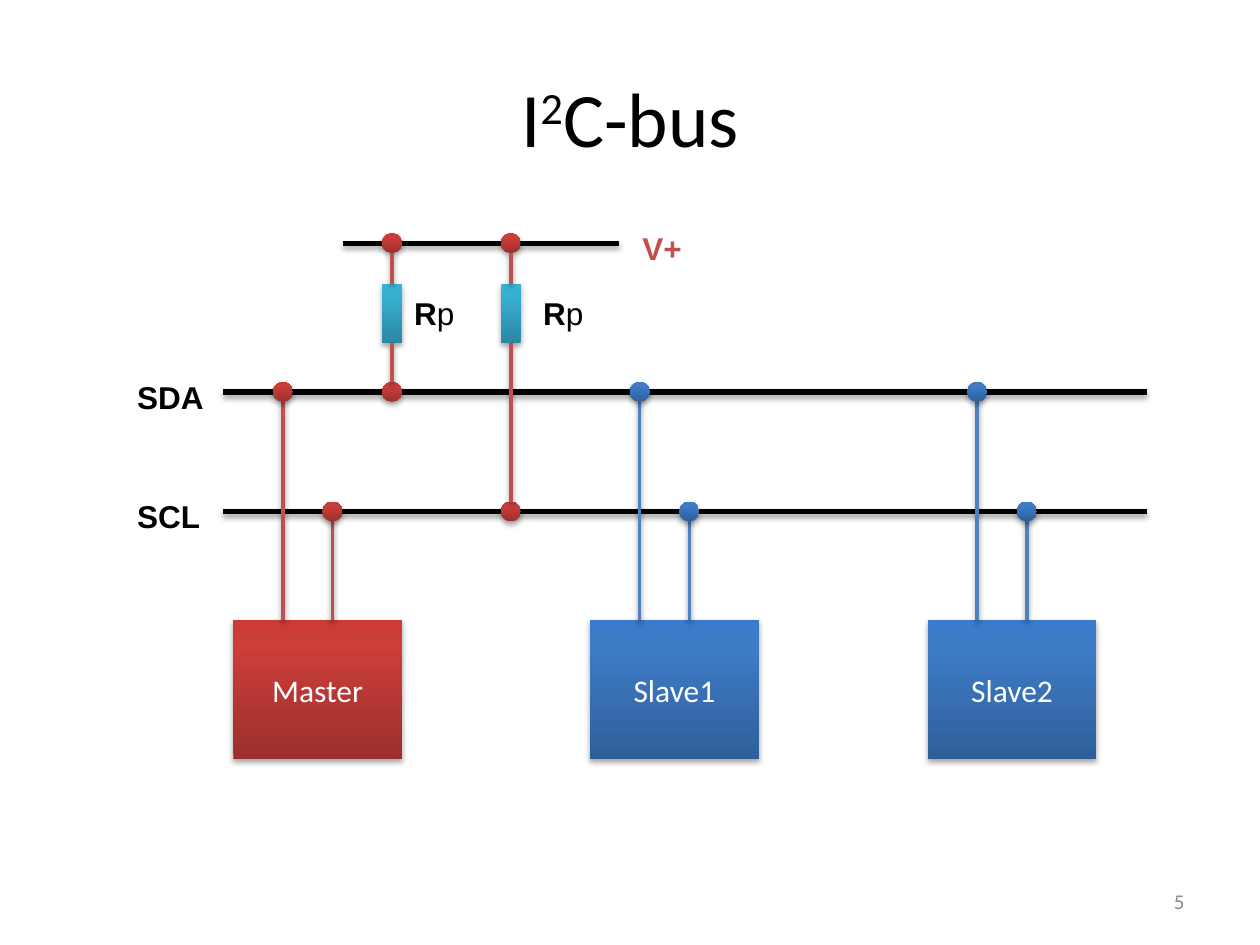
"""Build the I²C-bus wiring slide."""
from lxml.etree import SubElement
from pptx import Presentation
from pptx.dml.color import RGBColor
from pptx.enum.shapes import MSO_CONNECTOR, MSO_SHAPE
from pptx.enum.text import MSO_ANCHOR, PP_ALIGN
from pptx.oxml.ns import qn
from pptx.util import Pt

BLACK = RGBColor(0x00, 0x00, 0x00)
WHITE = RGBColor(0xFF, 0xFF, 0xFF)
GRAY = RGBColor(0x8C, 0x8C, 0x8C)
RED = RGBColor(0xC0, 0x50, 0x4D)
BLUE = RGBColor(0x4F, 0x81, 0xBD)
RED_FADE = ("9C2F2D", "CB3E3A", "CE3B37")
BLUE_FADE = ("2F5F99", "3D7CC7", "3A7CCB")
TEAL_FADE = ("2A88A2", "37B1D2", "34B4D6")
STOPS = (0, 80000, 100000)

SUPPLY_Y, SDA_Y, SCL_Y = 139, 224, 292.3
WIRES = [(196, 354, SUPPLY_Y), (127.5, 655.2, SDA_Y), (127.5, 655.2, SCL_Y)]
LABELS = [("SDA", 71.3, 212.5, 52.5, BLACK), ("SCL", 71.3, 280.7, 50.4, BLACK),
          ("V+", 360, 127.5, 36.7, RED)]
DEVICES = [("Master", 133.3, RED, RED_FADE), ("Slave1", 337.2, BLUE, BLUE_FADE),
           ("Slave2", 530.1, BLUE, BLUE_FADE)]
PULL_UPS = [(224, SDA_Y, 229.6), (291.9, SCL_Y, 303.3)]
BOX_TOP, BOX_W, BOX_H = 354.4, 96.4, 79.2
PIN_GAP = 28.35
DOT = 11.4
RES_TOP, RES_H = 162, 34

prs = Presentation()
prs.slide_width, prs.slide_height = Pt(720), Pt(540)
s = prs.slides.add_slide(prs.slide_layouts[6])


def add_shadow(sp, dist, alpha):
    effects = SubElement(sp._element.spPr, qn("a:effectLst"))
    shadow = SubElement(effects, qn("a:outerShdw"), blurRad="40000", dist=str(dist),
                        dir="5400000", rotWithShape="0")
    color = SubElement(shadow, qn("a:srgbClr"), val="000000")
    SubElement(color, qn("a:alpha"), val=str(alpha))


def add_line(x1, y1, x2, y2, color, width):
    c = s.shapes.add_connector(MSO_CONNECTOR.STRAIGHT, Pt(x1), Pt(y1), Pt(x2), Pt(y2))
    c.line.color.rgb = color
    c.line.width = Pt(width)
    if width == 3:
        add_shadow(c, 23000, 35000)
    else:
        add_shadow(c, 20000, 38000)
    return c


def add_block(kind, x, y, w, h, fade):
    sp = s.shapes.add_shape(kind, Pt(x), Pt(y), Pt(w), Pt(h))
    sp.fill.gradient()
    sp.fill.gradient_angle = 90
    stops = sp._element.spPr.find(".//" + qn("a:gsLst"))
    stops.clear()
    for pos, color in zip(STOPS, fade):
        stop = SubElement(stops, qn("a:gs"), pos=str(pos))
        SubElement(stop, qn("a:srgbClr"), val=color)
    sp.line.fill.background()
    add_shadow(sp, 23000, 35000)
    return sp


def add_dot(x, y, fade):
    return add_block(MSO_SHAPE.OVAL, x - DOT / 2, y - DOT / 2, DOT, DOT, fade)


def add_run(p, text, size, color, font, bold=False):
    r = p.add_run()
    r.text = text
    r.font.size, r.font.name, r.font.bold = Pt(size), font, bold
    r.font.color.rgb = color
    return r


def add_text(x, y, w, h, wrap=False, anchor=MSO_ANCHOR.TOP, align=PP_ALIGN.LEFT):
    tf = s.shapes.add_textbox(Pt(x), Pt(y), Pt(w), Pt(h)).text_frame
    tf.word_wrap = wrap
    tf.vertical_anchor = anchor
    p = tf.paragraphs[0]
    p.alignment = align
    return p


p = add_text(36, 21.6, 648, 90, True, MSO_ANCHOR.MIDDLE, PP_ALIGN.CENTER)
for text, baseline in (("I", None), ("2", "30000"), ("C-bus", None)):
    r = add_run(p, text, 44, BLACK, "Calibri")
    if baseline:
        r.font._element.set("baseline", baseline)

for x1, x2, y in WIRES:
    add_line(x1, y, x2, y, BLACK, 3)
for text, x, y, w, color in LABELS:
    add_run(add_text(x, y, w, 29), text, 18, color, "Arial", True)

for name, x, color, fade in DEVICES:
    sp = add_block(MSO_SHAPE.RECTANGLE, x, BOX_TOP, BOX_W, BOX_H, fade)
    tf = sp.text_frame
    tf.word_wrap = False
    tf.vertical_anchor = MSO_ANCHOR.MIDDLE
    tf.paragraphs[0].alignment = PP_ALIGN.CENTER
    add_run(tf.paragraphs[0], name, 18, WHITE, "Calibri")
    pins = [(x + PIN_GAP, SDA_Y), (x + 2 * PIN_GAP, SCL_Y)]
    for px, y in pins:
        add_line(px, y, px, BOX_TOP, color, 2)
    for px, y in pins:
        add_dot(px, y, fade)

for x, bus_y, label_x in PULL_UPS:
    res = add_block(MSO_SHAPE.RECTANGLE, x - DOT / 2, RES_TOP, DOT, RES_H, TEAL_FADE)
    for y, side, edge, sign in ((SUPPLY_Y, 0, RES_TOP, 1), (bus_y, 2, RES_TOP + RES_H, -1)):
        add_dot(x, y, RED_FADE)
        lead = add_line(x, y + sign * DOT / 2, x, edge, RED, 2)
        lead.end_connect(res, side)
    p = add_text(label_x, 164.4, 37.4, 29)
    add_run(p, "R", 18, BLACK, "Arial", True)
    add_run(p, "p", 18, BLACK, "Arial")

p = add_text(516, 500.5, 168, 28.8, True, MSO_ANCHOR.MIDDLE, PP_ALIGN.RIGHT)
add_run(p, "5", 12, GRAY, "Calibri")

prs.save("out.pptx")
